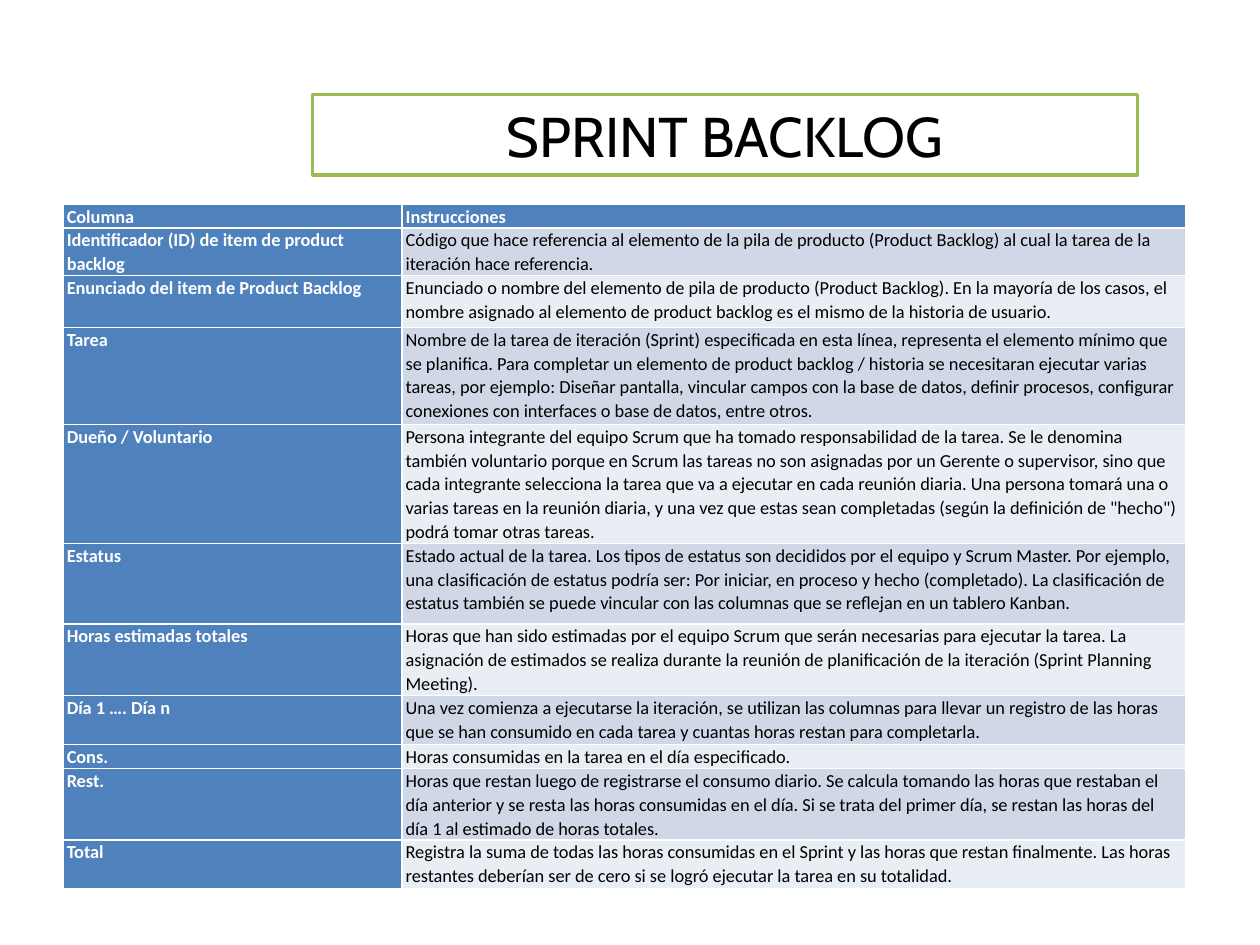
from pptx import Presentation
from pptx.dml.color import RGBColor
from pptx.enum.shapes import MSO_SHAPE as Shape
from pptx.enum.text import MSO_ANCHOR as Anchor, PP_ALIGN as Align
from pptx.util import Inches, Pt

WHITE = RGBColor(0xFF, 0xFF, 0xFF)
BLACK = RGBColor(0, 0, 0)
GREEN = RGBColor(0x9B, 0xBB, 0x59)
BLUE = RGBColor(0x4F, 0x81, 0xBD)
BANDS = [RGBColor(0xE9, 0xED, 0xF4), RGBColor(0xD0, 0xD8, 0xE8)]

TITLE = {"name": "Cabin", "size": Pt(32)}
HEAD = {"name": "Calibri", "size": Pt(10.5), "bold": True}
BODY = {**HEAD, "bold": False}
INSET = {"margin_left": Inches(0.03), "margin_right": Inches(0.03),
         "margin_top": 0, "margin_bottom": 0}

WIDTHS = [2.69, 6.22]
# Height, column name, instructions
ROWS = [
    (0.14, "Columna", "Instrucciones"),
    (0.27, "Identificador (ID) de item de product backlog",
     "Código que hace referencia al elemento de la pila de producto (Product Backlog) "
     "al cual la tarea de la iteración hace referencia."),
    (0.41, "Enunciado del item de Product Backlog",
     "Enunciado o nombre del elemento de pila de producto (Product Backlog). En la "
     "mayoría de los casos, el nombre asignado al elemento de product backlog es el "
     "mismo de la historia de usuario."),
    (0.77, "Tarea",
     "Nombre de la tarea de iteración (Sprint) especificada en esta línea, representa "
     "el elemento mínimo que se planifica. Para completar un elemento de product "
     "backlog / historia se necesitaran ejecutar varias tareas, por ejemplo: Diseñar "
     "pantalla, vincular campos con la base de datos, definir procesos, configurar "
     "conexiones con interfaces o base de datos, entre otros."),
    (0.9, "Dueño / Voluntario",
     "Persona integrante del equipo Scrum que ha tomado responsabilidad de la tarea. "
     "Se le denomina también voluntario porque en Scrum las tareas no son asignadas "
     "por un Gerente o supervisor, sino que cada integrante selecciona la tarea que va "
     "a ejecutar en cada reunión diaria. Una persona tomará una o varias tareas en la "
     "reunión diaria, y una vez que estas sean completadas (según la definición de "
     "\"hecho\") podrá tomar otras tareas."),
    (0.64, "Estatus",
     "Estado actual de la tarea. Los tipos de estatus son decididos por el equipo y "
     "Scrum Master. Por ejemplo, una clasificación de estatus podría ser: Por iniciar, "
     "en proceso y hecho (completado). La clasificación de estatus también se puede "
     "vincular con las columnas que se reflejan en un tablero Kanban."),
    (0.51, "Horas estimadas totales",
     "Horas que han sido estimadas por el equipo Scrum que serán necesarias para "
     "ejecutar la tarea. La asignación de estimados se realiza durante la reunión de "
     "planificación de la iteración (Sprint Planning Meeting)."),
    (0.39, "Día 1 …. Día n",
     "Una vez comienza a ejecutarse la iteración, se utilizan las columnas para llevar "
     "un registro de las horas que se han consumido en cada tarea y cuantas horas "
     "restan para completarla."),
    (0.14, "Cons.", "Horas consumidas en la tarea en el día especificado."),
    (0.51, "Rest.",
     "Horas que restan luego de registrarse el consumo diario. Se calcula tomando las "
     "horas que restaban el día anterior y se resta las horas consumidas en el día. Si "
     "se trata del primer día, se restan las horas del día 1 al estimado de horas "
     "totales."),
    (0.39, "Total",
     "Registra la suma de todas las horas consumidas en el Sprint y las horas que "
     "restan finalmente. Las horas restantes deberían ser de cero si se logró ejecutar "
     "la tarea en su totalidad."),
]


def apply(target, values):
    for key, value in values.items():
        setattr(target, key, value)


def write(para, text, style, color):
    run = para.add_run()
    run.text = text
    apply(run.font, style)
    run.font.color.rgb = color


def add_title(slide, left, top, width, height):
    box = slide.shapes.add_shape(Shape.RECTANGLE, left, top, width, height)
    box.shadow.inherit = False
    box.fill.solid()
    box.fill.fore_color.rgb = WHITE
    box.line.color.rgb = GREEN
    box.line.width = Pt(2)
    frame = box.text_frame
    apply(frame, {"word_wrap": True, "vertical_anchor": Anchor.MIDDLE})
    para = frame.paragraphs[0]
    para.alignment = Align.CENTER
    write(para, "SPRINT BACKLOG", TITLE, BLACK)


def fill_cell(cell, text, style, color, back):
    apply(cell, INSET)
    cell.fill.solid()
    cell.fill.fore_color.rgb = back
    para = cell.text_frame.paragraphs[0]
    para.line_spacing = 1.07
    write(para, text, style, color)


def add_guide(slide, left, top, width, height):
    """Table of backlog columns; its style draws the white cell borders."""
    table = slide.shapes.add_table(len(ROWS), len(WIDTHS), left, top, width, height).table
    table.first_col = True
    for col, size in zip(table.columns, WIDTHS):
        col.width = Inches(size)
    for r, (size, *texts) in enumerate(ROWS):
        table.rows[r].height = Inches(size)
        for c, text in enumerate(texts):
            cell = table.cell(r, c)
            if r == 0 or c == 0:
                fill_cell(cell, text, HEAD, WHITE, BLUE)
            else:
                fill_cell(cell, text, BODY, BLACK, BANDS[r % 2])
            cell.vertical_anchor = Anchor.TOP if r else Anchor.BOTTOM


def main():
    deck = Presentation()
    deck.slide_width, deck.slide_height = Inches(10), Inches(7.5)
    slide = deck.slides.add_slide(deck.slide_layouts[6])
    add_title(slide, Inches(2.48), Inches(0.75), Inches(6.55), Inches(0.64))
    add_guide(slide, Inches(0.5), Inches(1.62), Inches(8.91), Inches(5.41))
    deck.save("out.pptx")


if __name__ == "__main__":
    main()
